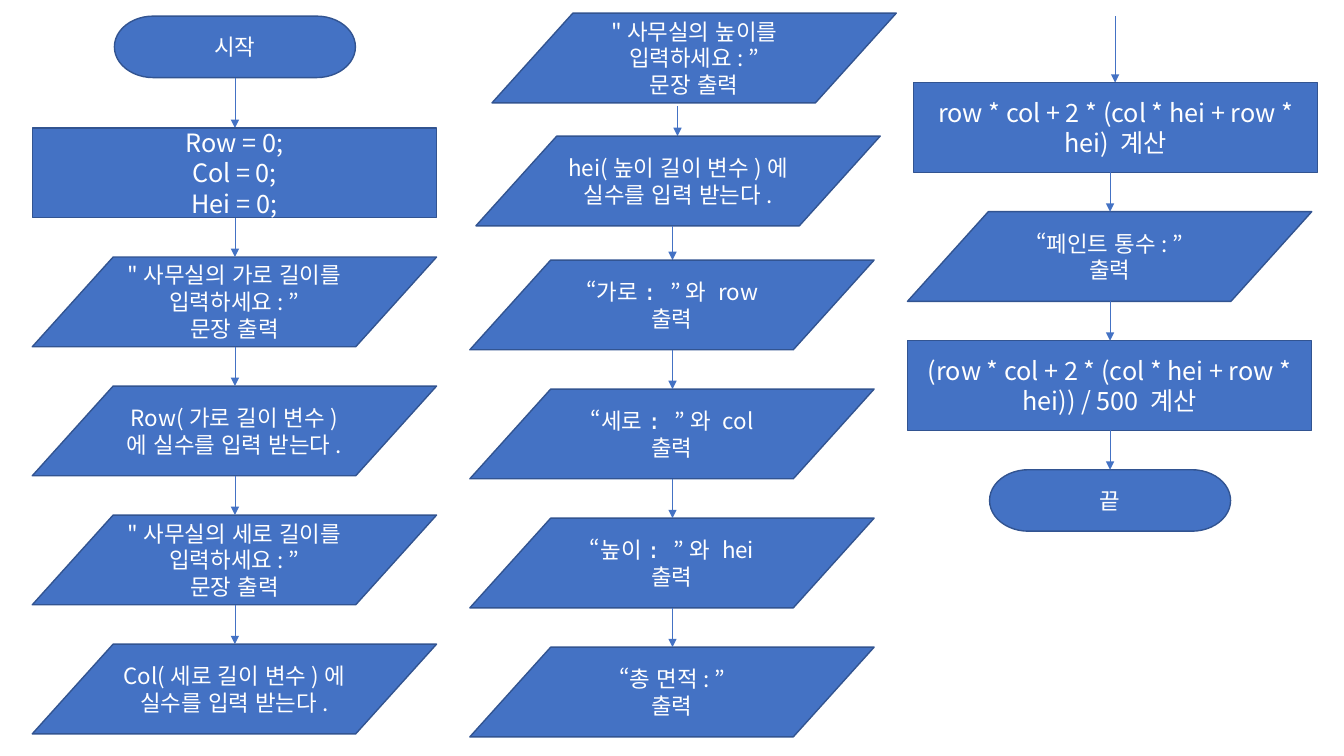
from pptx import Presentation
from pptx.dml.color import RGBColor
from pptx.enum.lang import MSO_LANGUAGE_ID
from pptx.enum.shapes import MSO_CONNECTOR, MSO_SHAPE
from pptx.enum.text import MSO_ANCHOR, PP_ALIGN
from pptx.oxml.ns import qn
from pptx.util import Inches, Pt
from lxml import etree

SANS, MONO = "Noto Sans CJK KR", "DejaVu Sans Mono"
BOX_W, BOX_H = 4.01, 0.89
END_W, END_H = 2.39, 0.61
PITCH = 1.28


def color(hex_text):
    return RGBColor.from_string(hex_text)


class FlowChart:
    FILL, OUTLINE, TEXT = "4472C4", "325491", "FFFFFF"

    def __init__(self, slide):
        self.slide = slide

    def shape(self, kind, left, top, width, height, paragraphs, size=16):
        """Each paragraph is a string or a list of (text, font) runs."""
        box = self.slide.shapes.add_shape(
            kind, Inches(left), Inches(top), Inches(width), Inches(height))
        box.shadow.inherit = False
        box.fill.solid()
        box.fill.fore_color.rgb = color(self.FILL)
        box.line.color.rgb = color(self.OUTLINE)
        box.line.width = Pt(1)
        frame = box.text_frame
        frame.word_wrap = True
        frame.vertical_anchor = MSO_ANCHOR.MIDDLE
        for i, content in enumerate(paragraphs):
            paragraph = frame.add_paragraph() if i else frame.paragraphs[0]
            paragraph.alignment = PP_ALIGN.CENTER
            runs = [(content, SANS)] if isinstance(content, str) else content
            for text, font_name in runs:
                self.run(paragraph, text, font_name, size)

    def run(self, paragraph, text, font_name, size):
        run = paragraph.add_run()
        run.text = text
        font = run.font
        font.size = Pt(size)
        font.color.rgb = color(self.TEXT)
        font.language_id = MSO_LANGUAGE_ID.KOREAN
        font.name = font_name
        latin = run._r.rPr.find(qn("a:latin"))
        east_asian = etree.Element(qn("a:ea"), typeface=SANS)
        latin.addnext(east_asian)

    def terminator(self, center, top, text):
        self.shape(MSO_SHAPE.FLOWCHART_TERMINATOR, center - END_W / 2, top,
                   END_W, END_H, [text])

    def process(self, left, top, *lines):
        self.shape(MSO_SHAPE.RECTANGLE, left, top, BOX_W, BOX_H, lines, 18)

    def data(self, left, top, *lines):
        self.shape(MSO_SHAPE.FLOWCHART_DATA, left, top, BOX_W, BOX_H, lines)

    def arrow(self, x, start, end):
        line = self.slide.shapes.add_connector(
            MSO_CONNECTOR.STRAIGHT, Inches(x), Inches(start), Inches(x), Inches(end))
        line.line.color.rgb = color(self.FILL)
        line.line.width = Pt(0.5)
        etree.SubElement(line.line._get_or_add_ln(), qn("a:tailEnd"), type="triangle")
        etree.SubElement(line._element.spPr, qn("a:effectLst"))

    def arrows(self, x, first_top, count):
        """Arrows across the gaps below evenly spaced boxes."""
        for i in range(count):
            top = first_top + i * PITCH
            self.arrow(x, top + BOX_H, top + PITCH)


def prompt(dimension):
    return [[('"', SANS), (f"사무실의 {dimension} 입력하세요", MONO), (": ”", SANS)],
            "문장 출력"]


def result(label, variable):
    return [[(f"“{label}: ", MONO), (f"”와 {variable}", SANS)], "출력"]


prs = Presentation()
prs.slide_width, prs.slide_height = Inches(13.33), Inches(7.5)
chart = FlowChart(prs.slides.add_slide(prs.slide_layouts[6]))

# Left column: start, variables, width and length input
left, center, top = 0.32, 2.33, 1.27
chart.terminator(center, 0.16, "시작")
chart.arrow(center, 0.77, top)
chart.process(left, top, "Row = 0;", "Col = 0;", "Hei = 0;")
input_steps = [
    prompt("가로 길이를"),
    ["Row(가로 길이 변수) 에 실수를 입력 받는다."],
    prompt("세로 길이를"),
    ["Col(세로 길이 변수)에 실수를 입력 받는다."],
]
for i, lines in enumerate(input_steps, start=1):
    chart.data(left, top + i * PITCH, *lines)
chart.arrows(center, top, len(input_steps))

# Middle column: height input
chart.data(4.88, 0.13, *prompt("높이를"))
chart.arrow(6.72, 1.05, 1.35)
chart.data(4.72, 1.35, "hei(높이 길이 변수)에 실수를 입력 받는다.")

# Middle column: printed results
left, center, top = 4.66, 6.67, 2.58
chart.arrow(center, 2.24, top)
output_steps = [
    result("가로", "row"),
    result("세로", "col"),
    result("높이", "hei"),
    ["“총 면적: ”", "출력"],
]
for i, lines in enumerate(output_steps):
    chart.data(left, top + i * PITCH, *lines)
chart.arrows(center, top, len(output_steps) - 1)

# Right column: area, paint cans and end
left, center, top = 9.0, 11.01, 0.82
chart.arrow(11.06, 0.16, top)
chart.process(9.06, top, "row * col + 2 * (col * hei + row * hei) 계산")
chart.data(left, top + PITCH, "“페인트 통수: ”", "출력")
chart.process(left, top + 2 * PITCH,
              "(row * col + 2 * (col * hei + row * hei)) / 500 계산")
chart.terminator(center, top + 3 * PITCH, "끝")
chart.arrows(center, top, 3)

prs.save("out.pptx")
